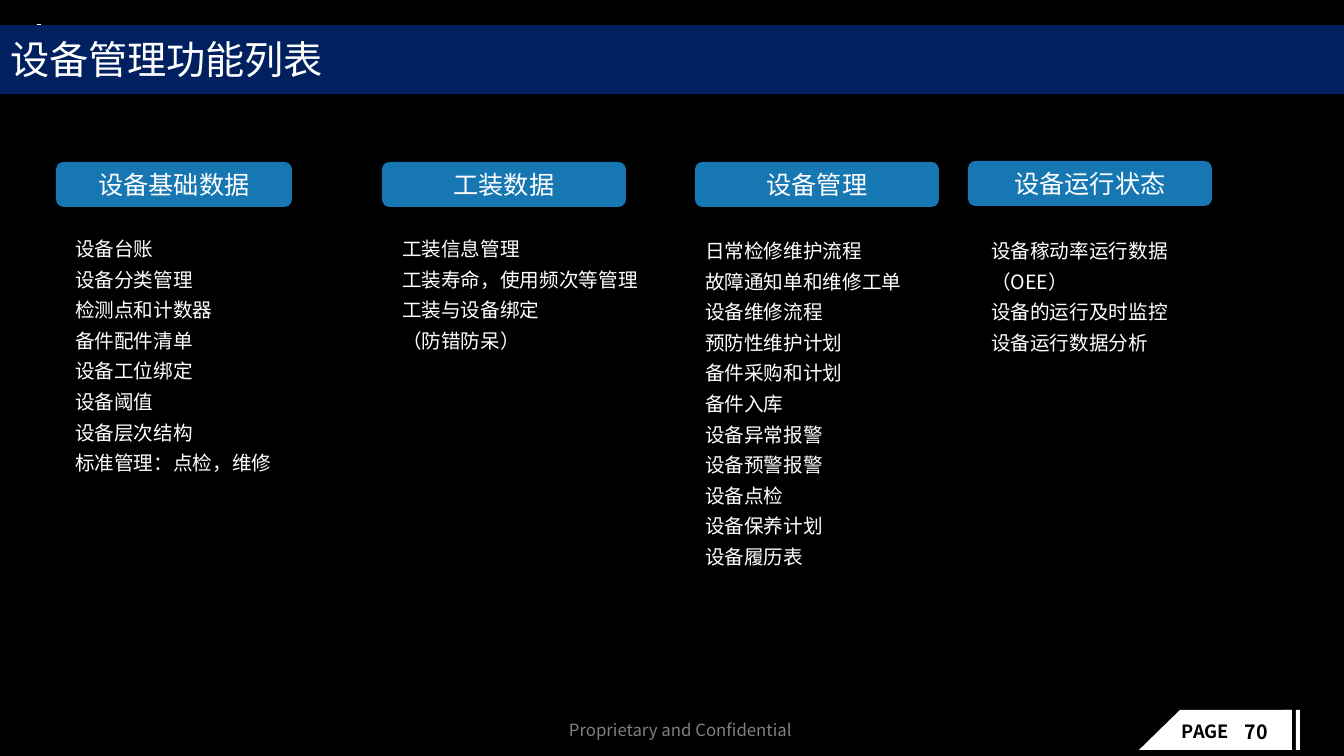
from dataclasses import dataclass

from lxml.etree import SubElement
from pptx import Presentation
from pptx.dml.color import RGBColor
from pptx.enum.shapes import MSO_SHAPE
from pptx.enum.text import MSO_ANCHOR, MSO_AUTO_SIZE, PP_ALIGN
from pptx.oxml.ns import qn
from pptx.util import Emu, Pt

EMU_PER_PX = 914400 / 100.8


@dataclass(frozen=True)
class Theme:
    """Colours, type sizes and font of the slide."""

    font: str = "Noto Sans CJK SC"
    black: str = "000000"
    white: str = "FFFFFF"
    navy: str = "002060"
    blue: str = "1677B3"
    grey: str = "808080"
    title: int = 28
    heading: int = 18
    body: int = 14
    label: int = 13
    footer: int = 12


THEME = Theme()

COLUMNS = [
    ("设备基础数据", (56, 162, 236, 45), (65, 225, 260, 288), [
        "设备台账", "设备分类管理", "检测点和计数器", "备件配件清单",
        "设备工位绑定", "设备阈值", "设备层次结构", "标准管理：点检，维修"]),
    ("工装数据", (382, 162, 244, 45), (392, 225, 260, 134), [
        "工装信息管理", "工装寿命，使用频次等管理", "工装与设备绑定", "（防错防呆）"]),
    ("设备管理", (695, 162, 244, 45), (695, 227, 260, 381), [
        "日常检修维护流程", "故障通知单和维修工单", "设备维修流程", "预防性维护计划",
        "备件采购和计划", "备件入库", "设备异常报警", "设备预警报警",
        "设备点检", "设备保养计划", "设备履历表"]),
    ("设备运行状态", (968, 161, 244, 45), (981, 227, 280, 134), [
        "设备稼动率运行数据\n（OEE）", "设备的运行及时监控", "设备运行数据分析"]),
]


def px(length):
    """Turn pixels into EMU."""
    return Emu(round(length * EMU_PER_PX))


def place(shape, area):
    """Move and size a shape to an area in pixels."""
    shape.left, shape.top, shape.width, shape.height = map(px, area)


def paint(shape, colour):
    """Fill a shape with one colour."""
    shape.fill.solid()
    shape.fill.fore_color.rgb = RGBColor.from_string(colour)


def add_span(para, text, size, colour, bold=False):
    """Add one formatted run to a paragraph."""
    span = para.add_run()
    span.text = text
    span.font.size = Pt(size)
    span.font.bold = bold
    span.font.color.rgb = RGBColor.from_string(colour)
    span.font.name = THEME.font
    east_asian = SubElement(span.font._element, qn("a:ea"))
    east_asian.set("typeface", THEME.font)


def add_block(shapes, kind, area, colour):
    """Add a flat preset shape without an outline."""
    block = shapes.add_shape(kind, *map(px, area))
    block.shadow.inherit = False
    block.line.fill.background()
    paint(block, colour)
    return block


def add_label(shapes, area, text, size, colour, bold=False):
    """Add a one-line text box."""
    box = shapes.add_textbox(*map(px, area))
    box.text_frame.word_wrap = True
    add_span(box.text_frame.paragraphs[0], text, size, colour, bold)


def add_heading(page, area, text):
    """Add the rounded heading of a column."""
    block = add_block(page.shapes, MSO_SHAPE.ROUNDED_RECTANGLE, area, THEME.blue)
    block.text_frame.vertical_anchor = MSO_ANCHOR.MIDDLE
    para = block.text_frame.paragraphs[0]
    para.alignment = PP_ALIGN.CENTER
    add_span(para, text, THEME.heading, THEME.white)


def fill_title(title, text):
    """Format the title placeholder as a full-width band."""
    place(title, (0, 25, 1344, 69))
    paint(title, THEME.navy)
    frame = title.text_frame
    frame.auto_size = MSO_AUTO_SIZE.NONE
    frame.vertical_anchor = MSO_ANCHOR.MIDDLE
    frame.margin_left, frame.margin_top = px(10), px(5)
    frame.margin_right, frame.margin_bottom = px(12), 0
    para = frame.paragraphs[0]
    para.alignment = PP_ALIGN.LEFT
    para.line_spacing = 0.9
    add_span(para, text, THEME.title, THEME.white)


def fill_list(body, area, items):
    """Fill a body placeholder with plain lines."""
    place(body, area)
    frame = body.text_frame
    frame.word_wrap = True
    frame.auto_size = MSO_AUTO_SIZE.NONE
    frame.vertical_anchor = MSO_ANCHOR.TOP
    for index, item in enumerate(items):
        para = frame.add_paragraph() if index else frame.paragraphs[0]
        properties = para._p.get_or_add_pPr()
        properties.set("marL", "0")
        properties.set("indent", "0")
        SubElement(properties, qn("a:buNone"))
        para.line_spacing = 1.3
        para.space_before = Pt(0)
        for number, line in enumerate(item.split("\n")):
            if number:
                para.add_line_break()
            add_span(para, line, THEME.body, THEME.white)


def add_page_badge(page, number):
    """Add the page number badge in the lower right corner."""
    shapes = page.shapes.add_group_shape().shapes
    for left, width in ((1180, 110), (1284, 8), (1296, 4)):
        add_block(shapes, MSO_SHAPE.RECTANGLE, (left, 710, width, 40), THEME.white)
    corner = add_block(shapes, MSO_SHAPE.RIGHT_TRIANGLE, (1139, 710, 41, 40), THEME.white)
    corner._element.spPr.xfrm.set("flipH", "1")
    add_label(shapes, (1172, 715, 74, 32), "PAGE", THEME.label, THEME.black, True)
    add_label(page.shapes, (1235, 715, 58, 32), number, THEME.body, THEME.black, True)


def main():
    """Build the slide and save it."""
    deck = Presentation()
    deck.slide_width, deck.slide_height = px(1344), px(756)
    page = deck.slides.add_slide(deck.slide_layouts.get_by_name("Comparison"))
    paint(page.background, THEME.black)

    title, *bodies = page.placeholders
    marker = add_block(page.shapes, MSO_SHAPE.RECTANGLE, (37, 24, 4, 66), THEME.white)
    title._element.addprevious(marker._element)
    fill_title(title, "设备管理功能列表")

    for body, (heading, heading_area, list_area, items) in zip(bodies, COLUMNS):
        add_heading(page, heading_area, heading)
        fill_list(body, list_area, items)

    add_label(page.shapes, (559, 715, 258, 30), "Proprietary and Confidential",
              THEME.footer, THEME.grey)
    add_page_badge(page, "70")
    deck.save("out.pptx")


if __name__ == "__main__":
    main()
